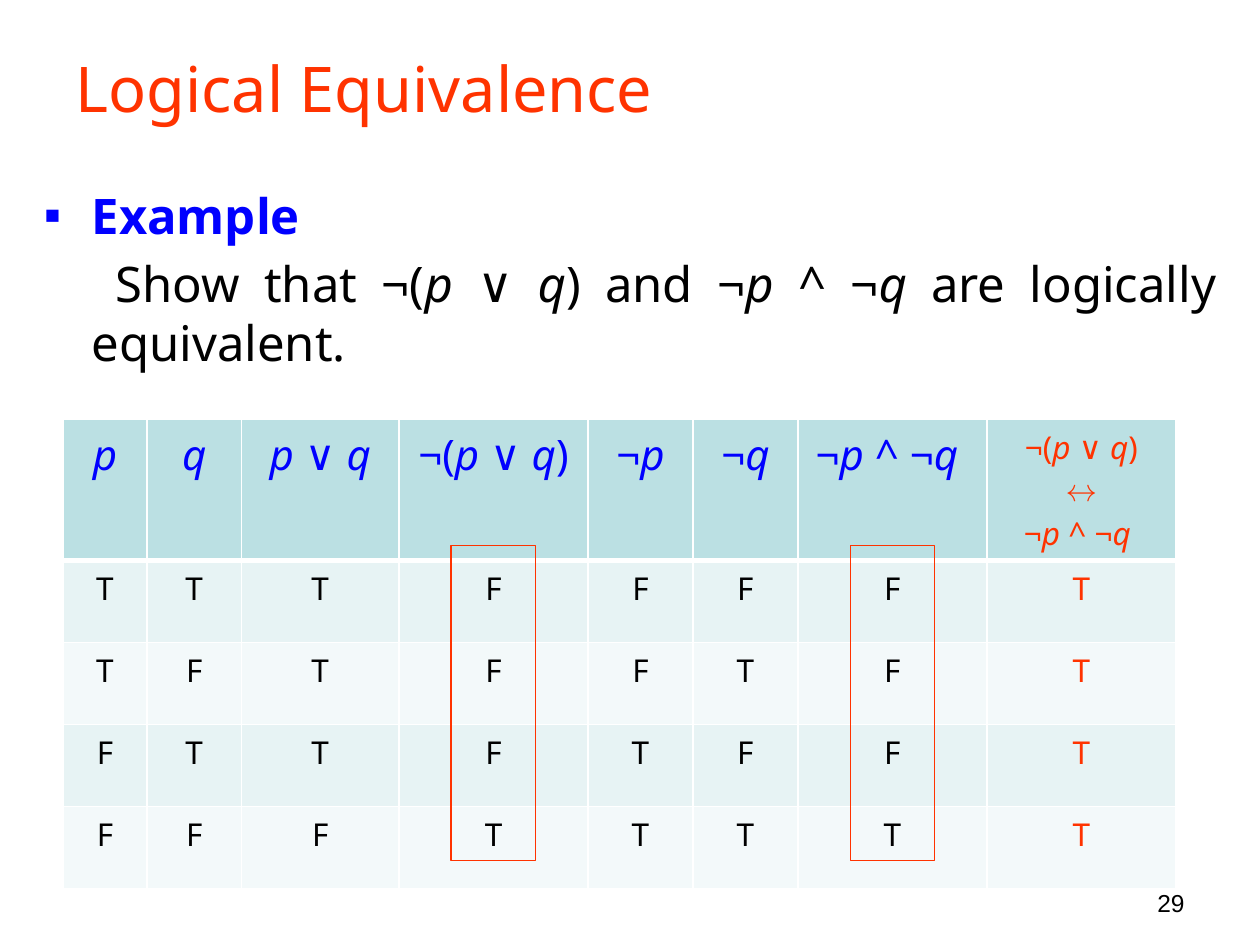
from itertools import product

from lxml import etree
from pptx import Presentation, util as u
from pptx.dml.color import RGBColor
from pptx.enum import shapes, text
from pptx.oxml.ns import qn

COLORS = {"red": "FF3300", "blue": "0000FF", "black": "000000", "white": "FFFFFF",
          "head": "BBE0E3", "odd": "E7F3F4", "even": "F3F9FA"}
UNIT = 1 / 12  # grid step in inches
COLUMNS = [8, 9, 15, 18, 10, 10, 18, 18]
HEAD_HEIGHT, ROW_HEIGHT = 1.12, 0.65
HEADERS = ["_p_", "_q_", "_p _∨ _q_", "¬(_p _∨ _q_)", "¬_p_", "¬_q_",
           "¬_p _^ ¬_q _", "¬(_p _∨ _q_)\n↔\n¬_p _^ ¬_q _"]


def rgb(name):
    return RGBColor.from_string(COLORS[name])


def write(p, content, size=18, color="black", bold=False, font="Noto Sans", align="LEFT"):
    """Fill a paragraph; parts between underscores are italic."""
    p.alignment = getattr(text.PP_ALIGN, align)
    for i, part in enumerate(content.split("_")):
        if part:
            r = p.add_run()
            r.text = part
            f = r.font
            f.name, f.size, f.bold, f.italic = font, u.Pt(size), bold, i % 2 == 1
            f.color.rgb = rgb(color)


def add_box(s, left, top, width, height, anchor="TOP"):
    tf = s.shapes.add_textbox(*map(u.Inches, (left, top, width, height))).text_frame
    tf.word_wrap = True
    tf.vertical_anchor = getattr(text.MSO_ANCHOR, anchor)
    return tf


def indent(p, margin, first, bullet=None):
    pPr = p._p.get_or_add_pPr()
    pPr.set("marL", str(u.Inches(margin)))
    pPr.set("indent", str(u.Inches(first)))
    if bullet:
        etree.SubElement(pPr, qn("a:buFont")).set("typeface", "Arial")
        etree.SubElement(pPr, qn("a:buChar")).set("char", bullet)


def add_body(s):
    tf = add_box(s, 0.25, 1.42, 9.5, 1.7)
    p = tf.paragraphs[0]
    indent(p, 0.38, -0.38, "▪")
    write(p, "Example", 28, "blue", bold=True)
    p = tf.add_paragraph()
    indent(p, 0.38, 0.19)
    p.space_before = u.Pt(5.6)
    write(p, "Show that ¬(_p _∨ _q_) and ¬_p _^ ¬_q_ are logically equivalent.",
          28, align="JUSTIFY")


def set_borders(cell, bottom=1, top=1):
    tcPr = cell._tc.get_or_add_tcPr()
    widths = {"lnL": 1, "lnR": 1, "lnT": top, "lnB": bottom}
    for i, (tag, width) in enumerate(widths.items()):
        ln = etree.Element(qn("a:" + tag), w=str(u.Pt(width)))
        fill = etree.SubElement(ln, qn("a:solidFill"))
        etree.SubElement(fill, qn("a:srgbClr")).set("val", COLORS["white"])
        tcPr.insert(i, ln)


def fill_cell(cell, content, fill, **fmt):
    cell.fill.solid()
    cell.fill.fore_color.rgb = rgb(fill)
    tf = cell.text_frame
    for i, line in enumerate(content.split("\n")):
        p = tf.add_paragraph() if i else tf.paragraphs[0]
        write(p, line, align="CENTER", **fmt)


def truth_rows():
    for p, q in product((True, False), repeat=2):
        left, right = not (p or q), not p and not q
        values = p, q, p or q, left, not p, not q, right, left == right
        yield ["T" if v else "F" for v in values]


def add_truth_table(s):
    rows = list(truth_rows())
    table = s.shapes.add_table(
        len(rows) + 1, len(COLUMNS), u.Inches(0.5), u.Inches(3.33),
        u.Inches(sum(COLUMNS) * UNIT),
        u.Inches(HEAD_HEIGHT + len(rows) * ROW_HEIGHT)).table
    for column, units in zip(table.columns, COLUMNS):
        column.width = u.Inches(units * UNIT)
    for r, row in enumerate(table.rows):
        row.height = u.Inches(ROW_HEIGHT if r else HEAD_HEIGHT)
    last = len(COLUMNS) - 1
    for r, values in enumerate([HEADERS] + rows):
        for c, value in enumerate(values):
            cell = table.cell(r, c)
            if r == 0:
                fill, size, color = "head", 24, "blue"
            else:
                fill, size, color = ("odd" if r % 2 else "even"), 18, "black"
            if c == last:
                size, color = 18, "red"
            fill_cell(cell, value, fill, size=size, color=color)
            set_borders(cell, bottom=1 if r else 3, top=3 if r == 1 else 1)


def add_frame(s, left):
    sp = s.shapes.add_shape(shapes.MSO_SHAPE.RECTANGLE,
                            *map(u.Inches, (left, 4.33, 0.67, 2.5)))
    sp.shadow.inherit = False
    sp.fill.background()
    sp.line.color.rgb = rgb("red")
    sp.line.width = u.Pt(0.75)


def main():
    prs = Presentation()
    prs.slide_width, prs.slide_height = u.Inches(10), u.Inches(7.5)
    s = prs.slides.add_slide(prs.slide_layouts[6])
    title = add_box(s, 0.5, 0.3, 9.17, 0.78, "MIDDLE")
    write(title.paragraphs[0], "Logical Equivalence", 36, "red")
    add_body(s)
    add_truth_table(s)
    for left in (3.58, 6.75):
        add_frame(s, left)
    number = add_box(s, 7.17, 7, 2.33, 0.35)
    write(number.paragraphs[0], "29", 14, font="Arial", align="RIGHT")
    prs.save("out.pptx")


if __name__ == "__main__":
    main()
